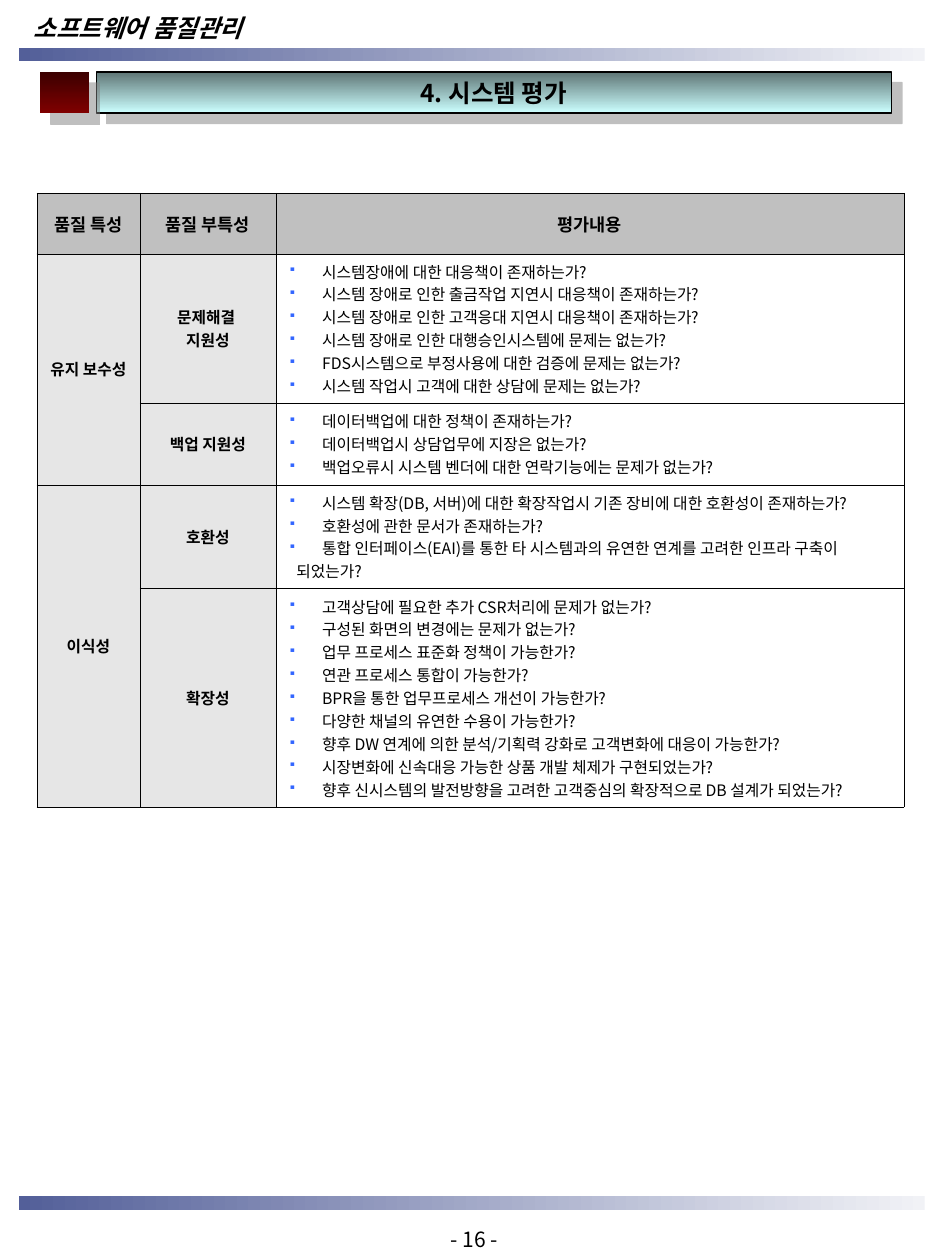
from lxml import etree
from pptx import Presentation
from pptx.dml.color import RGBColor
from pptx.enum.shapes import MSO_SHAPE
from pptx.enum.text import MSO_ANCHOR, MSO_AUTO_SIZE, PP_ALIGN
from pptx.oxml import parse_xml
from pptx.oxml.ns import nsdecls, qn
from pptx.util import Cm, Pt

RECT = MSO_SHAPE.RECTANGLE
MIDDLE = MSO_ANCHOR.MIDDLE
NO_FIT = MSO_AUTO_SIZE.NONE
LEFT, CENTER = PP_ALIGN.LEFT, PP_ALIGN.CENTER
SANS = "Noto Sans CJK KR"


def paint(fill, *colors, angle=0):
    if len(colors) == 1:
        fill.solid()
        fill.fore_color.rgb = RGBColor.from_string(colors[0])
        return
    fill.gradient()
    fill.gradient_angle = angle
    for stop, color in zip(fill.gradient_stops, colors):
        stop.color.rgb = RGBColor.from_string(color)


def write(tf, text, size=9, font=SANS, bold=False, italic=False, align=CENTER, bullet=False, kern=1200):
    for i, line in enumerate(text.split("\n")):
        p = tf.paragraphs[0] if i == 0 else tf.add_paragraph()
        p.alignment = align
        if bullet:
            pPr = p._p.get_or_add_pPr()
            if line.startswith("되었는가"):
                pPr.set("marL", str(Cm(0.16)))
            else:
                pPr.set("marL", str(Cm(0.68)))
                pPr.set("indent", str(-Cm(0.68)))
                color = etree.SubElement(pPr, qn("a:buClr"))
                etree.SubElement(color, qn("a:srgbClr"), val="3366FF")
                etree.SubElement(pPr, qn("a:buSzPct"), val="70000")
                etree.SubElement(pPr, qn("a:buChar"), char="▪")
        r = p.add_run()
        r.text = line
        r.font.size = Pt(size)
        r.font.bold = bold
        r.font.italic = italic
        paint(r.font.fill, "000000")
        r.font.name = font
        rPr = r._r.get_or_add_rPr()
        rPr.set("kern", str(kern))
        etree.SubElement(rPr, qn("a:ea"), typeface=SANS)


prs = Presentation()
prs.slide_width, prs.slide_height = Cm(19.05), Cm(25.4)
s = prs.slides.add_slide(prs.slide_layouts[5])

for top in (24.11, 0.96):
    bar = s.shapes.add_shape(RECT, Cm(0.38), Cm(top), Cm(18.26), Cm(0.28))
    bar.shadow.inherit = False
    paint(bar.fill, "F1F2F6", "535F99", angle=180)
    bar.line.fill.background()

labels = [
    ("- 16 -", (8.05, 24.6, 3.02, 1.27), dict(size=12)),
    ("소프트웨어 품질관리", (0.43, 0.14, 7.95, 0.86),
     dict(size=14, font="Courier New", bold=True, italic=True, align=LEFT)),
]
for text, box, style in labels:
    tf = s.shapes.add_textbox(*map(Cm, box)).text_frame
    tf.word_wrap = True
    write(tf, text, **style)

block = s.shapes.add_shape(RECT, Cm(0.81), Cm(1.45), Cm(0.99), Cm(0.84))
paint(block.fill, "3B0000", "800000", angle=270)
block.line.fill.background()

title = s.shapes.title
title.left, title.top, title.width, title.height = Cm(1.94), Cm(1.45), Cm(16.03), Cm(0.83)
paint(title.fill, "5E7575", "CCFFFF", angle=270)
paint(title.line.fill, "000000")
title.line.width = Pt(0.75)
tf = title.text_frame
tf.auto_size = NO_FIT
tf.vertical_anchor = MIDDLE
write(tf, "4. 시스템 평가", size=14, bold=True)

for sp in (block, title):
    sp.shadow.inherit = False
    sp._element.spPr.find(qn("a:effectLst")).append(parse_xml(
        f'<a:outerShdw {nsdecls("a")} blurRad="0" dist="{Pt(8.5)}" dir="2700000" algn="ctr" '
        'rotWithShape="0"><a:srgbClr val="808080"><a:alpha val="50000"/></a:srgbClr></a:outerShdw>'))

header = [("품질 특성", "품질 부특성", "평가내용")]
criteria = [
    ("유지 보수성", "문제해결 \n지원성", """시스템장애에 대한 대응책이 존재하는가?
시스템 장애로 인한 출금작업 지연시 대응책이 존재하는가?
시스템 장애로 인한 고객응대 지연시 대응책이 존재하는가?
시스템 장애로 인한 대행승인시스템에 문제는 없는가?
FDS시스템으로 부정사용에 대한 검증에 문제는 없는가?
시스템 작업시 고객에 대한 상담에 문제는 없는가?"""),
    ("", "백업 지원성", """데이터백업에 대한 정책이 존재하는가?
데이터백업시 상담업무에 지장은 없는가?
백업오류시 시스템 벤더에 대한 연락기능에는 문제가 없는가?"""),
    ("이식성", "호환성", """시스템 확장(DB, 서버)에 대한 확장작업시 기존 장비에 대한 호환성이 존재하는가?
호환성에 관한 문서가 존재하는가?
통합 인터페이스(EAI)를 통한 타 시스템과의 유연한 연계를 고려한 인프라 구축이
되었는가?"""),
    ("", "확장성", """고객상담에 필요한 추가 CSR처리에 문제가 없는가?
구성된 화면의 변경에는 문제가 없는가?
업무 프로세스 표준화 정책이 가능한가?
연관 프로세스 통합이 가능한가?
BPR을 통한 업무프로세스 개선이 가능한가?
다양한 채널의 유연한 수용이 가능한가?
향후 DW 연계에 의한 분석/기획력 강화로 고객변화에 대응이 가능한가?
시장변화에 신속대응 가능한 상품 개발 체제가 구현되었는가?
향후 신시스템의 발전방향을 고려한 고객중심의 확장적으로 DB 설계가 되었는가?"""),
]
tables = [
    (criteria, 5.11, (3.02, 1.64, 2.09, 4.41), "E6E6E6", 9),
    (header, 3.89, (1.23,), "C0C0C0", 10),
]
for rows, top, heights, shade, size in tables:
    table = s.shapes.add_table(len(rows), 3, Cm(0.74), Cm(top), Cm(17.48), Cm(sum(heights))).table
    table.first_row = table.horz_banding = False
    for column, width in zip(table.columns, (2.08, 2.74, 12.66)):
        column.width = Cm(width)
    for row, height in zip(table.rows, heights):
        row.height = Cm(height)
    for i, texts in enumerate(rows):
        for j, text in enumerate(texts):
            cell = table.cell(i, j)
            cell.vertical_anchor = MIDDLE
            for side in ("lnL", "lnR", "lnT", "lnB"):
                ln = etree.SubElement(cell._tc.get_or_add_tcPr(), qn(f"a:{side}"), w=str(Pt(0.06)))
                etree.SubElement(etree.SubElement(ln, qn("a:solidFill")), qn("a:srgbClr"), val="000000")
            body = rows is criteria and j == 2
            if body:
                cell.fill.background()
            else:
                paint(cell.fill, shade)
            if text:
                write(cell.text_frame, text, size=size, bold=not body, kern=0,
                      align=LEFT if body else CENTER, bullet=body)
    for i in range(0, len(rows) - 1, 2):
        table.cell(i, 0).merge(table.cell(i + 1, 0))

prs.save("out.pptx")
